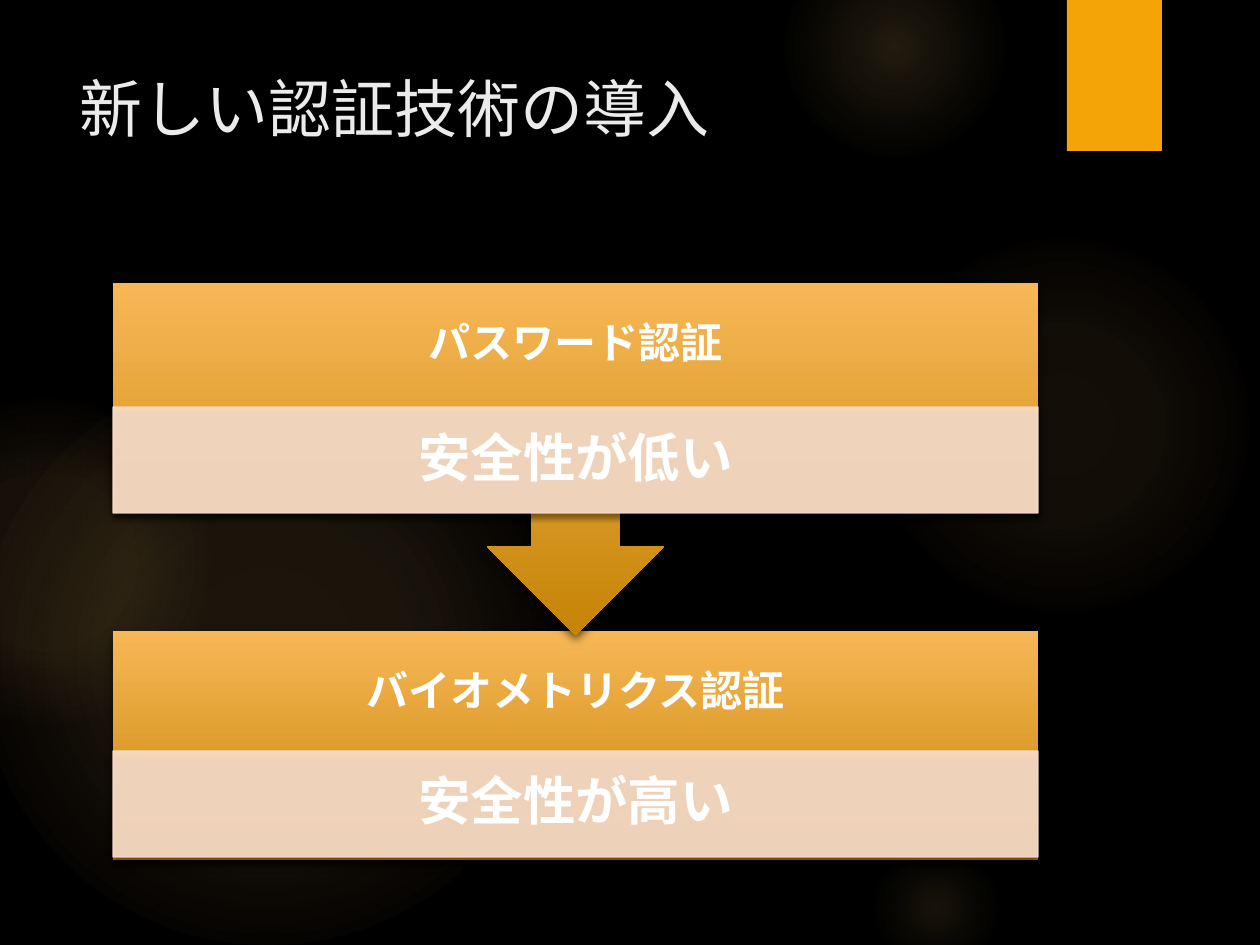
from dataclasses import dataclass
from typing import Any

from lxml import etree
from pptx import Presentation
from pptx import util as u
from pptx.dml.color import RGBColor
from pptx.enum import shapes, text
from pptx.oxml.ns import qn

SCALE = u.Inches(1) / 126
PRESET = shapes.MSO_SHAPE


@dataclass(frozen=True)
class Theme:
    font: str = "League Spartan"
    background: str = "000000"
    glow: str = "FAC96A"
    tab: str = "F5A408"
    panel_top: str = "F7B756"
    panel_bottom: str = "C58406"
    detail: str = "FBE0CC"
    shadow: str = "000000"
    title_text: str = "EBEBEB"
    panel_text: str = "FFFFFF"
    title_size: int = 36
    heading_size: int = 24
    detail_size: int = 30


THEME = Theme()


@dataclass(frozen=True)
class Box:
    left: int
    top: int
    width: int
    height: int

    def emu(self) -> list[u.Emu]:
        return [px(v) for v in (self.left, self.top, self.width, self.height)]


@dataclass(frozen=True)
class Stop:
    position: int
    color: str
    alpha: int = 100


@dataclass(frozen=True)
class Glow:
    left: int
    top: int
    size: int
    fades: tuple[tuple[int, int], ...]


@dataclass(frozen=True)
class Shadow:
    alpha: int
    blur: int
    distance: int


@dataclass(frozen=True)
class Panel:
    top: int
    height: int
    preset: Any
    detail_top: int
    heading: str
    detail: str


SOFT_SHADOW = Shadow(45, 3, 2)
DEEP_SHADOW = Shadow(60, 5, 3)
PANEL_LEFT, PANEL_WIDTH = 113, 925
HEADING_HEIGHT, DETAIL_HEIGHT = 123, 106

GLOWS = [
    Glow(868, 231, 388, ((0, 7), (36, 6), (69, 0))),
    Glow(784, -63, 221, ((0, 14), (36, 7), (73, 0))),
    Glow(868, 840, 136, ((0, 10), (31, 5), (66, 0))),
    Glow(-21, 368, 577, ((0, 11), (36, 10), (75, 0))),
    Glow(-116, 399, 325, ((0, 8), (36, 8), (72, 0))),
]
PANELS = [
    Panel(631, 229, PRESET.RECTANGLE, 751, "バイオメトリクス認証", "安全性が高い"),
    Panel(283, 352, PRESET.DOWN_ARROW_CALLOUT, 407, "パスワード認証", "安全性が低い"),
]


def px(length: int) -> u.Emu:
    return u.Emu(round(length * SCALE))


def apply(target: Any, values: dict[str, Any]) -> None:
    for name, value in values.items():
        setattr(target, name, value)


def add_node(parent: Any, tag: str, **attributes: Any) -> Any:
    values = {name: str(value) for name, value in attributes.items()}
    return etree.SubElement(parent, qn(f"a:{tag}"), values)


def add_color(parent: Any, color: str, alpha: int) -> None:
    node = add_node(parent, "srgbClr", val=color)
    if alpha < 100:
        add_node(node, "alpha", val=alpha * 1000)


def add_shape(page: Any, preset: Any, box: Box) -> Any:
    shape = page.shapes.add_shape(preset, *box.emu())
    shape.shadow.inherit = False
    shape.line.fill.background()
    return shape


def fill_solid(fill: Any, color: str) -> None:
    fill.solid()
    fill.fore_color.rgb = RGBColor.from_string(color)


def fill_gradient(shape: Any, stops: list[Stop], radial: bool = False) -> None:
    shape.fill.gradient()
    gradient = shape._element.spPr.find(qn("a:gradFill"))
    gradient.clear()
    stop_list = add_node(gradient, "gsLst")
    for stop in stops:
        node = add_node(stop_list, "gs", pos=stop.position * 1000)
        add_color(node, stop.color, stop.alpha)
    if radial:
        center = add_node(gradient, "path", path="circle")
        add_node(center, "fillToRect", l=50000, t=50000, r=50000, b=50000)
    else:
        add_node(gradient, "lin", ang=90 * 60000, scaled=0)


def add_shadow(shape: Any, shadow: Shadow) -> None:
    effects = shape._element.spPr.find(qn("a:effectLst"))
    node = add_node(effects, "outerShdw", blurRad=u.Pt(shadow.blur),
                    dist=u.Pt(shadow.distance), dir=90 * 60000, rotWithShape=0)
    add_color(node, THEME.shadow, shadow.alpha)


def write(shape: Any, words: str, size: int, color: str,
          frame_values: dict[str, Any], para_values: dict[str, Any],
          bold: bool = False) -> None:
    frame = shape.text_frame
    apply(frame, {"word_wrap": True} | frame_values)
    para = frame.paragraphs[0]
    apply(para, para_values)
    span = para.add_run()
    span.text = words
    apply(span.font, {"name": THEME.font, "size": u.Pt(size), "bold": bold})
    span.font.color.rgb = RGBColor.from_string(color)


def write_centered(shape: Any, words: str, size: int, side: int, edge: int) -> None:
    frame_values = {
        "vertical_anchor": text.MSO_ANCHOR.MIDDLE,
        "margin_left": px(side), "margin_right": px(side),
        "margin_top": px(edge), "margin_bottom": px(edge),
    }
    para_values = {"alignment": text.PP_ALIGN.CENTER, "line_spacing": 0.9,
                   "space_after": u.Pt(size * 0.35)}
    write(shape, words, size, THEME.panel_text, frame_values, para_values, bold=True)


def draw_glow(page: Any, glow: Glow) -> None:
    shape = add_shape(page, PRESET.OVAL, Box(glow.left, glow.top, glow.size, glow.size))
    fill_gradient(shape, [Stop(at, THEME.glow, alpha) for at, alpha in glow.fades], True)


def draw_panel(page: Any, panel: Panel) -> None:
    body = add_shape(page, panel.preset, Box(PANEL_LEFT, panel.top, PANEL_WIDTH, panel.height))
    fill_gradient(body, [Stop(0, THEME.panel_top), Stop(100, THEME.panel_bottom)])
    add_shadow(body, DEEP_SHADOW)

    heading_box = Box(PANEL_LEFT, panel.top, PANEL_WIDTH, HEADING_HEIGHT)
    heading = page.shapes.add_textbox(*heading_box.emu())
    write_centered(heading, panel.heading, THEME.heading_size, 24, 24)

    detail = add_shape(page, PRESET.RECTANGLE,
                       Box(PANEL_LEFT, panel.detail_top, PANEL_WIDTH, DETAIL_HEIGHT))
    detail.line.width = u.Pt(0.75)
    for fill in (detail.fill, detail.line.fill):
        fill_solid(fill, THEME.detail)
    for color in detail._element.spPr.findall(".//" + qn("a:srgbClr")):
        add_node(color, "alpha", val=90000)
    add_shadow(detail, SOFT_SHADOW)
    write_centered(detail, panel.detail, THEME.detail_size, 29, 5)


def main() -> None:
    deck = Presentation()
    apply(deck, {"slide_width": px(1260), "slide_height": px(945)})
    page = deck.slides.add_slide(deck.slide_layouts[6])
    fill_solid(page.background.fill, THEME.background)
    for glow in GLOWS:
        draw_glow(page, glow)
    tab = add_shape(page, PRESET.RECTANGLE, Box(1067, 0, 95, 151))
    fill_solid(tab.fill, THEME.tab)
    add_shadow(tab, SOFT_SHADOW)
    title = page.shapes.add_textbox(*Box(67, 63, 973, 193).emu())
    write(title, "新しい認証技術の導入", THEME.title_size, THEME.title_text,
          {"vertical_anchor": text.MSO_ANCHOR.TOP}, {"alignment": text.PP_ALIGN.LEFT})
    for panel in PANELS:
        draw_panel(page, panel)
    deck.save("out.pptx")


if __name__ == "__main__":
    main()
